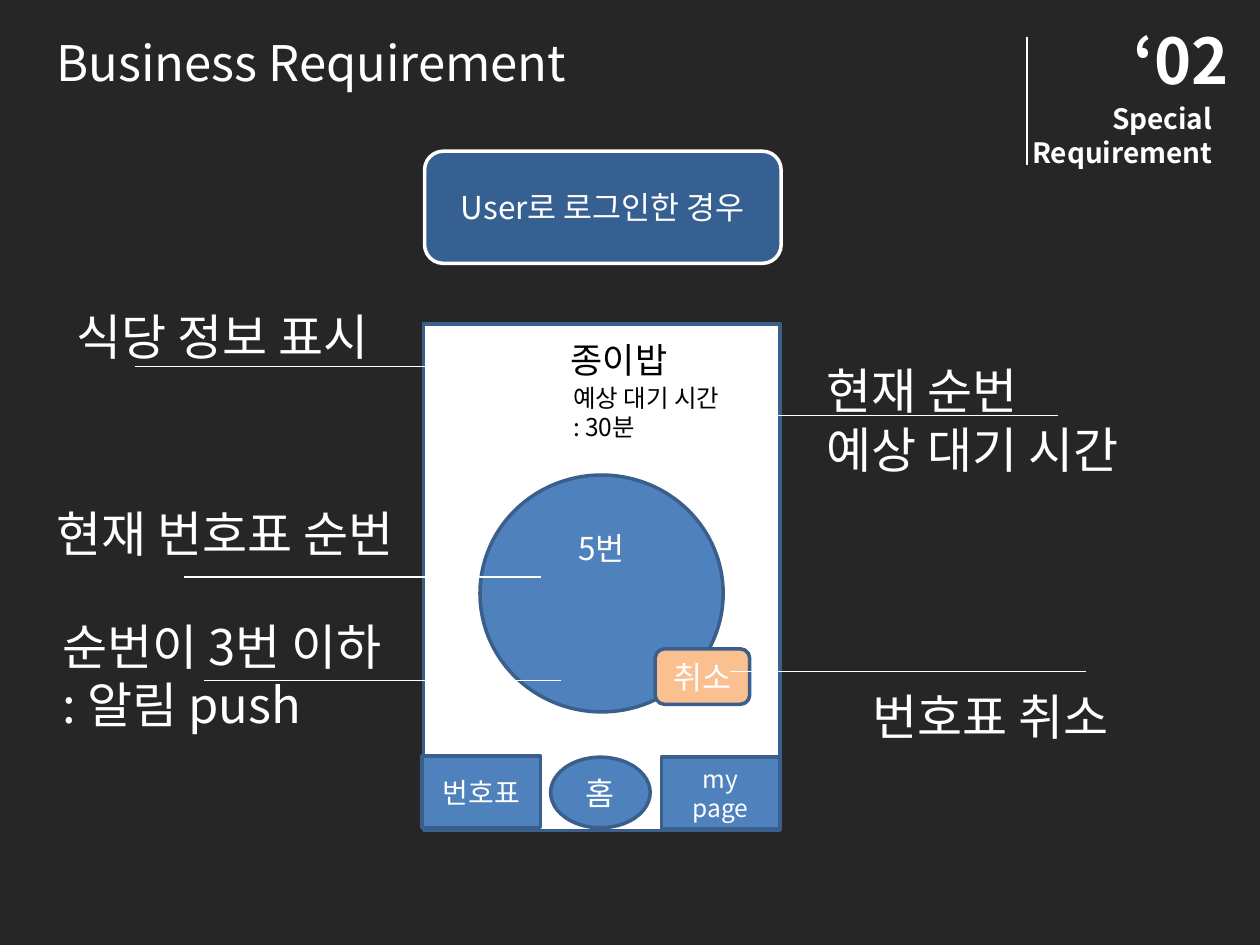
from lxml.etree import SubElement
from pptx import Presentation
from pptx.dml.color import RGBColor
from pptx.enum.shapes import MSO_CONNECTOR, MSO_SHAPE
from pptx.enum.text import MSO_ANCHOR, PP_ALIGN
from pptx.oxml.ns import qn
from pptx.util import Inches, Pt

FONT = "Noto Sans CJK KR"
WHITE = RGBColor(0xFF, 0xFF, 0xFF)
BLACK = RGBColor(0, 0, 0)
CHARCOAL = RGBColor(0x26, 0x26, 0x26)
BLUE = RGBColor(0x4F, 0x81, 0xBD)
DARK_BLUE = RGBColor(0x37, 0x60, 0x92)
OUTLINE = RGBColor(0x3A, 0x5F, 0x8C)
PEACH = RGBColor(0xFA, 0xC0, 0x90)

LABEL_WIDTH = 5.28
CALLOUT_LENGTH = 2.83
PHONE_WIDTH = 2.83


def write_text(frame, lines, size, color, align, bold=False):
    for index, line in enumerate(lines):
        paragraph = frame.add_paragraph() if index else frame.paragraphs[0]
        paragraph.text = line
        paragraph.alignment = align
        font = paragraph.font
        font.size = Pt(size)
        font.bold = bold
        font.color.rgb = color
        font.name = FONT
        properties = paragraph._p.pPr.find(qn("a:defRPr"))
        SubElement(properties, qn("a:ea"), typeface=FONT)


def add_label(page, left, top, width, height, lines, size=28, color=WHITE,
              align=PP_ALIGN.LEFT, bold=False):
    box = page.shapes.add_textbox(
        Inches(left), Inches(top), Inches(width), Inches(height))
    box.text_frame.word_wrap = True
    write_text(box.text_frame, lines, size, color, align, bold)


def add_block(page, kind, left, top, width, height, lines=(), size=18,
              fill=BLUE, outline=OUTLINE):
    block = page.shapes.add_shape(
        kind, Inches(left), Inches(top), Inches(width), Inches(height))
    block.shadow.inherit = False
    block.fill.solid()
    block.fill.fore_color.rgb = fill
    block.line.color.rgb = outline
    block.line.width = Pt(2)
    block.text_frame.word_wrap = True
    block.text_frame.vertical_anchor = MSO_ANCHOR.MIDDLE
    write_text(block.text_frame, lines, size, WHITE, PP_ALIGN.CENTER)
    return block


def add_line(page, left, top, right, bottom):
    line = page.shapes.add_connector(
        MSO_CONNECTOR.STRAIGHT,
        Inches(left), Inches(top), Inches(right), Inches(bottom))
    line.line.color.rgb = WHITE
    line.line.width = Pt(0.75)
    SubElement(line._element.spPr, qn("a:effectLst"))


def add_callout_line(page, left, top):
    add_line(page, left, top, left + CALLOUT_LENGTH, top)


def add_header(page):
    add_label(page, 0.35, 0.21, LABEL_WIDTH, 0.57, ["Business Requirement"])
    add_label(page, 8.9, 0.12, 1.14, 0.71, ["‘02"], 36, bold=True)
    add_label(page, 7.83, 0.76, 1.89, 0.63, ["Special", "Requirement"], 16,
              align=PP_ALIGN.RIGHT, bold=True)
    add_line(page, 8.15, 0.29, 8.15, 1.31)


def add_phone(page):
    add_block(page, MSO_SHAPE.RECTANGLE, 3.36, 2.57, PHONE_WIDTH, 4.02,
              fill=WHITE)
    add_block(page, MSO_SHAPE.RECTANGLE, 3.35, 6, 0.94, 0.57, ["번호표"], 16)
    add_block(page, MSO_SHAPE.RECTANGLE, 5.25, 6.01, 0.94, 0.57,
              ["my", "page"], 14)
    add_block(page, MSO_SHAPE.OVAL, 4.37, 6.01, 0.79, 0.56, ["홈"])
    add_label(page, 4.43, 2.64, 1.02, 0.44, ["종이밥"], 20, BLACK)
    add_label(page, 4.45, 2.99, PHONE_WIDTH, 0.57,
              ["예상 대기 시간", ": 30분"], 14, BLACK)


def add_ticket(page):
    ticket = add_block(page, MSO_SHAPE.OVAL, 3.81, 3.77, 1.93, 1.88, ["5번"])
    ticket.text_frame.margin_bottom = Inches(0.77)
    add_callout_line(page, 1.46, 4.58)
    add_block(page, MSO_SHAPE.ROUNDED_RECTANGLE, 5.2, 5.15, 0.75, 0.44,
              ["취소"], fill=PEACH)


def add_callouts(page):
    for left, top in [(1.07, 2.91), (5.57, 3.3), (5.79, 5.33), (1.62, 5.4)]:
        add_callout_line(page, left, top)
    labels = [
        (0.51, 2.38, 0.57, ["식당 정보 표시"]),
        (6.46, 2.81, 1.04, ["현재 순번", "예상 대기 시간"]),
        (0.35, 3.95, 0.57, ["현재 번호표 순번"]),
        (6.83, 5.4, 0.57, ["번호표 취소"]),
        (0.4, 4.84, 1.04, ["순번이 3번 이하", ": 알림 push"]),
    ]
    for left, top, height, lines in labels:
        add_label(page, left, top, LABEL_WIDTH, height, lines)


def main():
    deck = Presentation()
    deck.slide_width = Inches(10)
    deck.slide_height = Inches(7.5)
    page = deck.slides.add_slide(deck.slide_layouts[6])
    page.background.fill.solid()
    page.background.fill.fore_color.rgb = CHARCOAL
    add_header(page)
    add_phone(page)
    add_ticket(page)
    add_callouts(page)
    add_block(page, MSO_SHAPE.ROUNDED_RECTANGLE, 3.37, 1.2, PHONE_WIDTH, 0.89,
              ["User로 로그인한 경우"], fill=DARK_BLUE, outline=WHITE)
    deck.save("out.pptx")


if __name__ == "__main__":
    main()
